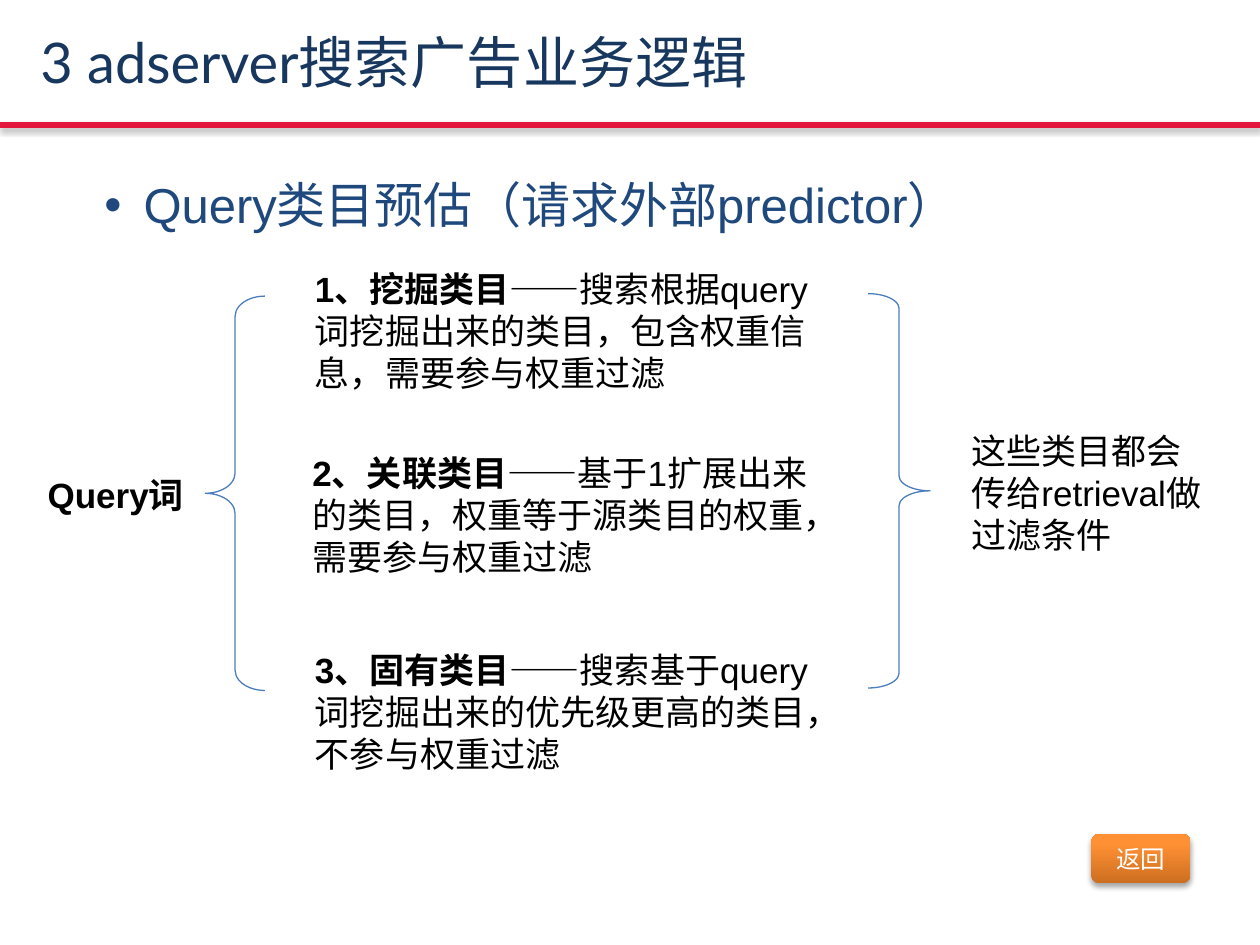
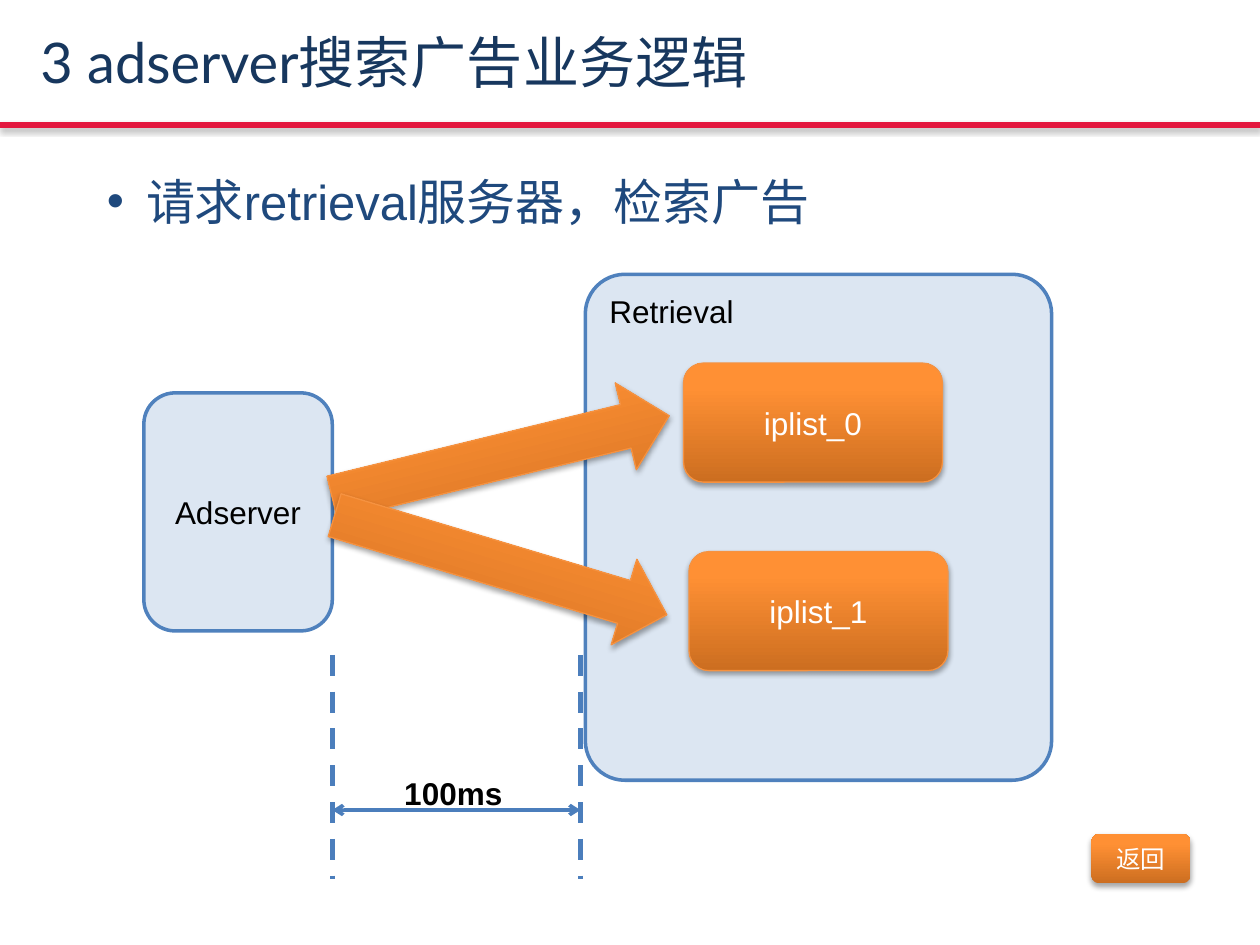
from pptx import Presentation
from pptx.dml.color import RGBColor
from pptx.enum.dml import MSO_LINE
from pptx.enum.shapes import MSO_CONNECTOR, MSO_SHAPE
from pptx.enum.text import MSO_ANCHOR, MSO_AUTO_SIZE, PP_ALIGN
from pptx.oxml import parse_xml
from pptx.oxml.ns import nsdecls, qn
from pptx.util import Cm, Pt

RED = RGBColor(0xE3, 0x17, 0x3E)
NAVY = RGBColor(0x17, 0x37, 0x5E)
BLUE_TEXT = RGBColor(0x1F, 0x49, 0x7D)
BLUE_LINE = RGBColor(0x4B, 0x7E, 0xBC)
BLUE_EDGE = RGBColor(0x4F, 0x81, 0xBD)
PALE_BLUE = RGBColor(0xDC, 0xE6, 0xF2)
ORANGE_EDGE = RGBColor(0xF6, 0x92, 0x40)
BLACK = RGBColor(0, 0, 0)
WHITE = RGBColor(0xFF, 0xFF, 0xFF)

SHADOW = (f'<a:effectLst {nsdecls("a")}><a:outerShdw blurRad="40000" dist="23000" '
          'dir="5400000" rotWithShape="0"><a:srgbClr val="000000">'
          '<a:alpha val="35000"/></a:srgbClr></a:outerShdw></a:effectLst>')
NO_SHADOW = f'<a:effectLst {nsdecls("a")}/>'
ORANGE_STOPS = (f'<a:gsLst {nsdecls("a")}>'
                '<a:gs pos="0"><a:srgbClr val="CC6E20"/></a:gs>'
                '<a:gs pos="80000"><a:srgbClr val="FF9034"/></a:gs>'
                '<a:gs pos="100000"><a:srgbClr val="FF9136"/></a:gs></a:gsLst>')


def write(frame, texts, size, color, bold=False, font="Arial", align=PP_ALIGN.LEFT):
    frame.word_wrap = True
    para = frame.paragraphs[0]
    para.alignment = align
    para.space_before = Pt(0)
    for position, text in enumerate(texts):
        span = para.add_run()
        span.text = text
        span.font.name = font
        span.font.size = Pt(size)
        span.font.bold = bold and position == 0
        span.font.color.rgb = color


def draw(page, kind, place, edge=None, width=0.75, fill=None, orange=False):
    shape = page.shapes.add_shape(kind, *map(Cm, place))
    shape.shadow.inherit = False
    if orange:
        shape.fill.gradient()
        shape.fill.gradient_angle = 90
        properties = shape.element.spPr
        stops = properties.find(qn("a:gradFill")).find(qn("a:gsLst"))
        stops.getparent().replace(stops, parse_xml(ORANGE_STOPS))
        properties.replace(properties.find(qn("a:effectLst")), parse_xml(SHADOW))
    elif fill is not None:
        shape.fill.solid()
        shape.fill.fore_color.rgb = fill
    else:
        shape.fill.background()
    if edge is None:
        shape.line.fill.background()
    else:
        shape.line.color.rgb = edge
        shape.line.width = Pt(width)
    shape.text_frame.vertical_anchor = MSO_ANCHOR.MIDDLE
    return shape


deck = Presentation()
deck.slide_width = Cm(25.4)
deck.slide_height = Cm(19.05)
layout = deck.slide_layouts[1]

pages = []
for topic, left, top in [("Query类目预估（请求外部predictor）", 1.85, 3.4),
                         ("请求retrieval服务器，检索广告", 1.9, 3.33)]:
    page = deck.slides.add_slide(layout)
    pages.append(page)
    title, body = page.placeholders
    title.left, title.top, title.width, title.height = map(Cm, (0.56, 0.18, 24.36, 2.11))
    title.text_frame.vertical_anchor = MSO_ANCHOR.MIDDLE
    write(title.text_frame, ["3 adserver搜索广告业务逻辑"], 32, NAVY, font="Lato")

    body.left, body.top, body.width, body.height = map(Cm, (left, top, 18.6, 1.45))
    body.text_frame.auto_size = MSO_AUTO_SIZE.NONE
    indents = body.text_frame.paragraphs[0]._p.get_or_add_pPr()
    indents.set("marL", str(Cm(0.79)))
    indents.set("indent", str(-Cm(0.79)))
    indents.append(parse_xml(f'<a:buFont {nsdecls("a")} typeface="Arial"/>'))
    indents.append(parse_xml(f'<a:buChar {nsdecls("a")} char="•"/>'))
    write(body.text_frame, [topic], 28, BLUE_TEXT)

    button = draw(page, MSO_SHAPE.ROUNDED_RECTANGLE, (22, 16.81, 2, 1), orange=True)
    write(button.text_frame, ["返回"], 14, WHITE, align=PP_ALIGN.CENTER)

category_page, retrieval_page = pages

rule = category_page.shapes.add_connector(MSO_CONNECTOR.STRAIGHT, 0, Cm(2.52), Cm(25.4), Cm(2.52))
rule.line.color.rgb = RED
rule.line.width = Pt(3)
rule.element.spPr.append(parse_xml(SHADOW))
layout.shapes.element.append(rule.element)

for kind, place, curve in [(MSO_SHAPE.LEFT_BRACE, (4.14, 5.97, 1.2, 7.95), 0.34),
                           (MSO_SHAPE.RIGHT_BRACE, (17.5, 5.92, 1.25, 7.95), 0.24)]:
    brace = draw(category_page, kind, place, BLUE_LINE)
    brace.adjustments[0] = curve

notes = [
    ((0.71, 9.42, 3.4, 1.12), ["Query词"], True),
    ((6.1, 5.26, 10.85, 2.82),
     ["1、挖掘类目", "——搜索根据query词挖掘出来的类目，包含权重信息，需要参与权重过滤"], True),
    ((6.05, 8.97, 10.85, 2.82),
     ["2、关联类目", "——基于1扩展出来的类目，权重等于源类目的权重，需要参与权重过滤"], True),
    ((6.1, 12.95, 10.85, 2.82),
     ["3、固有类目", "——搜索基于query词挖掘出来的优先级更高的类目，不参与权重过滤"], True),
    ((19.33, 8.53, 5.33, 2.82), ["这些类目都会传给retrieval做过滤条件"], False),
]
for place, texts, bold in notes:
    note = category_page.shapes.add_textbox(*map(Cm, place))
    write(note.text_frame, texts, 20, BLACK, bold)

adserver = draw(retrieval_page, MSO_SHAPE.ROUNDED_RECTANGLE, (2.9, 7.92, 3.8, 4.8),
                BLUE_EDGE, 2, PALE_BLUE)
write(adserver.text_frame, ["Adserver"], 18, BLACK, align=PP_ALIGN.CENTER)

retrieval = draw(retrieval_page, MSO_SHAPE.ROUNDED_RECTANGLE, (11.8, 5.53, 9.4, 10.2),
                 BLUE_EDGE, 2, PALE_BLUE)
retrieval.adjustments[0] = 0.085
retrieval.text_frame.vertical_anchor = MSO_ANCHOR.TOP
write(retrieval.text_frame, ["Retrieval"], 18, BLACK)

for name, left, top in [("iplist_0", 13.78, 7.32), ("iplist_1", 13.89, 11.12)]:
    server = draw(retrieval_page, MSO_SHAPE.ROUNDED_RECTANGLE, (left, top, 5.22, 2.4),
                  ORANGE_EDGE, orange=True)
    write(server.text_frame, [name], 18, WHITE, align=PP_ALIGN.CENTER)

for top, angle in [(8.31, 346.3), (10.49, 16.7)]:
    arrow = draw(retrieval_page, MSO_SHAPE.RIGHT_ARROW, (6.6, top, 6.99, 1.8),
                 ORANGE_EDGE, orange=True)
    arrow.rotation = angle

START, END = 6.7, 11.7
for x1, y1, x2, y2, dashed in [(START, 13.2, START, 17.72, True),
                               (END, 13.2, END, 17.72, True),
                               (START, 16.33, END, 16.33, False)]:
    line = retrieval_page.shapes.add_connector(MSO_CONNECTOR.STRAIGHT, *map(Cm, (x1, y1, x2, y2)))
    line.line.color.rgb = BLUE_LINE
    line.line.width = Pt(3 if dashed else 2)
    if dashed:
        line.line.dash_style = MSO_LINE.DASH
    else:
        for end in ("headEnd", "tailEnd"):
            line.line._ln.append(parse_xml(f'<a:{end} {nsdecls("a")} type="arrow"/>'))
    line.element.spPr.append(parse_xml(NO_SHADOW))

delay = retrieval_page.shapes.add_textbox(*map(Cm, (7.9, 15.47, 3, 1.02)))
write(delay.text_frame, ["100ms"], 18, BLACK, True)

deck.save("out.pptx")
